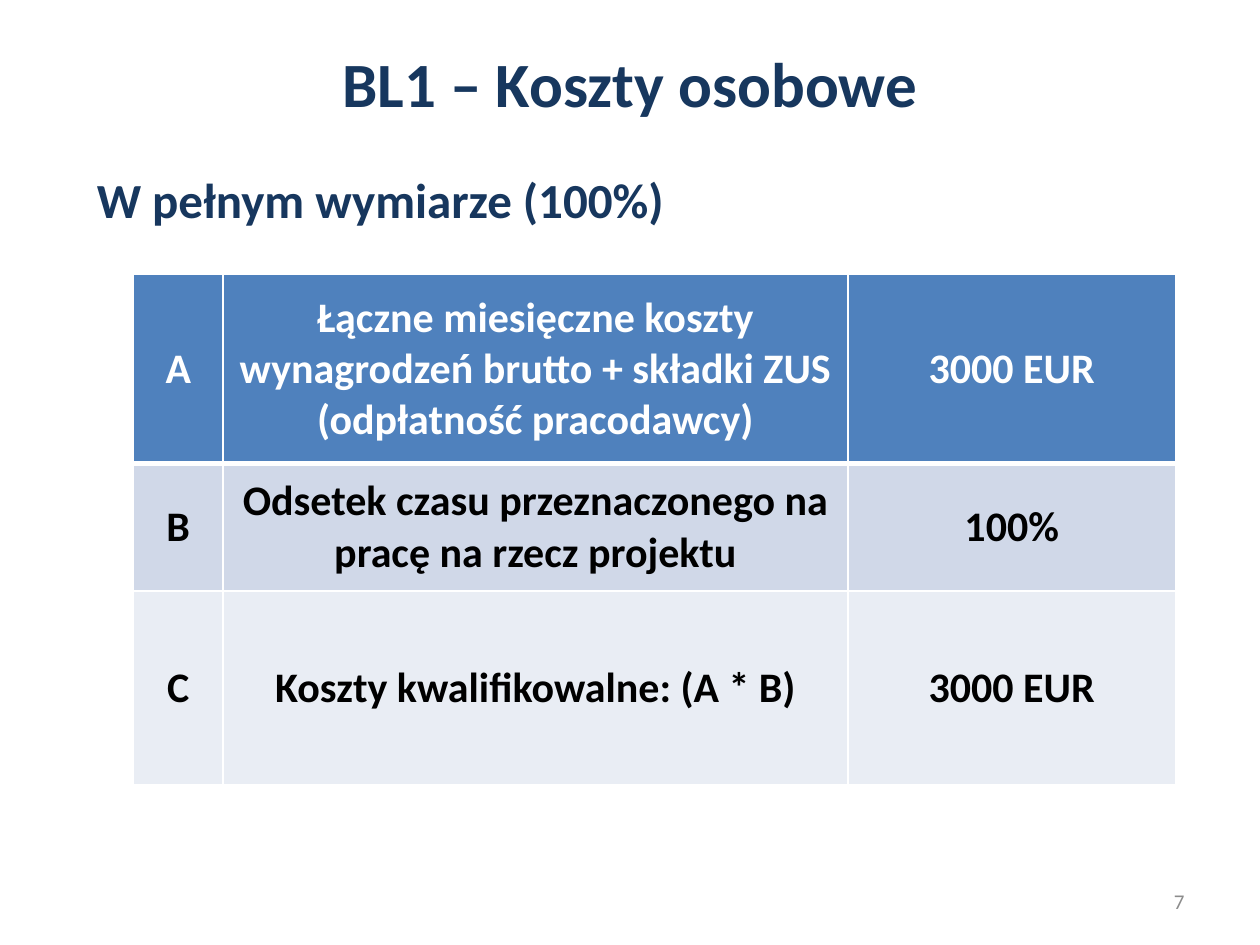
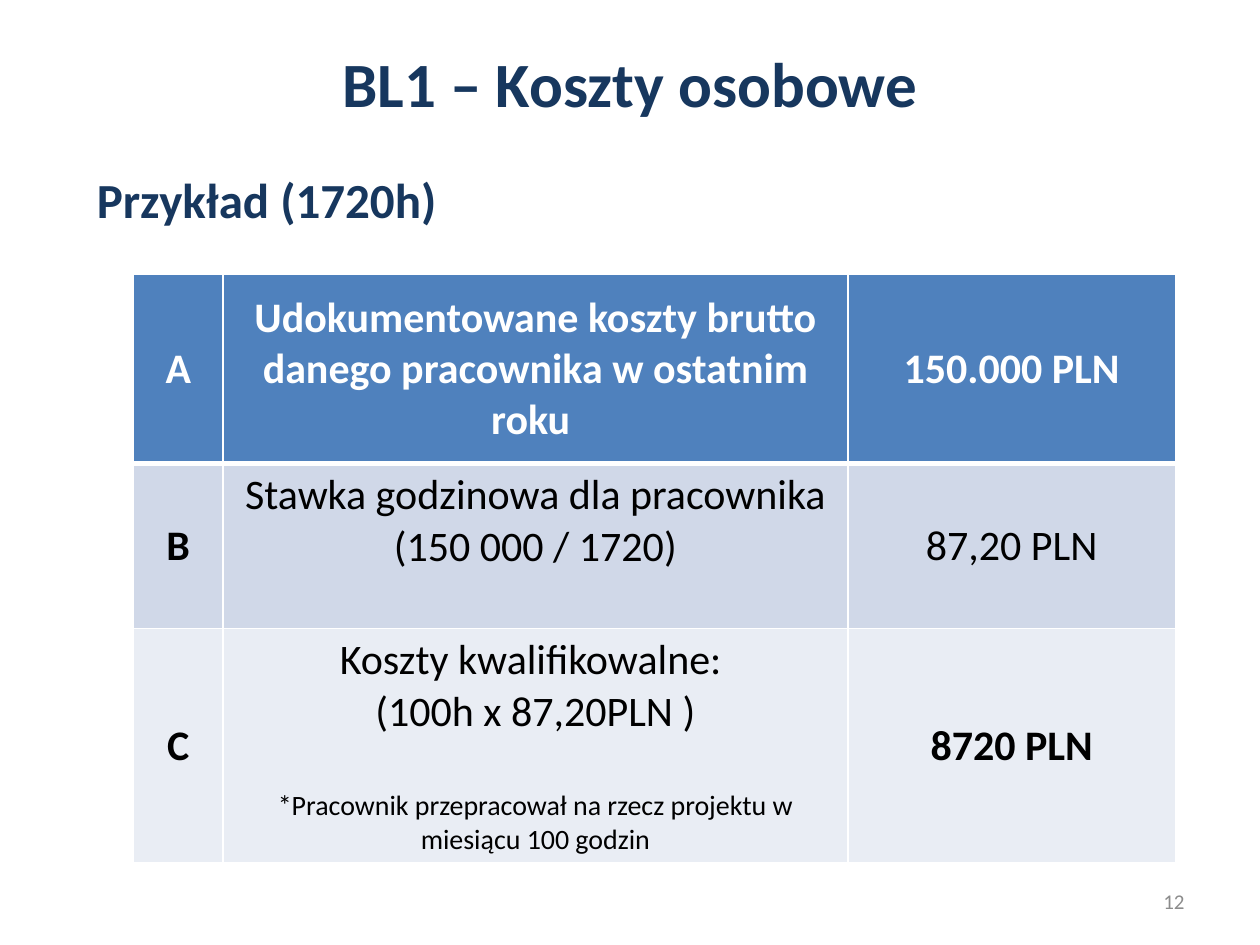
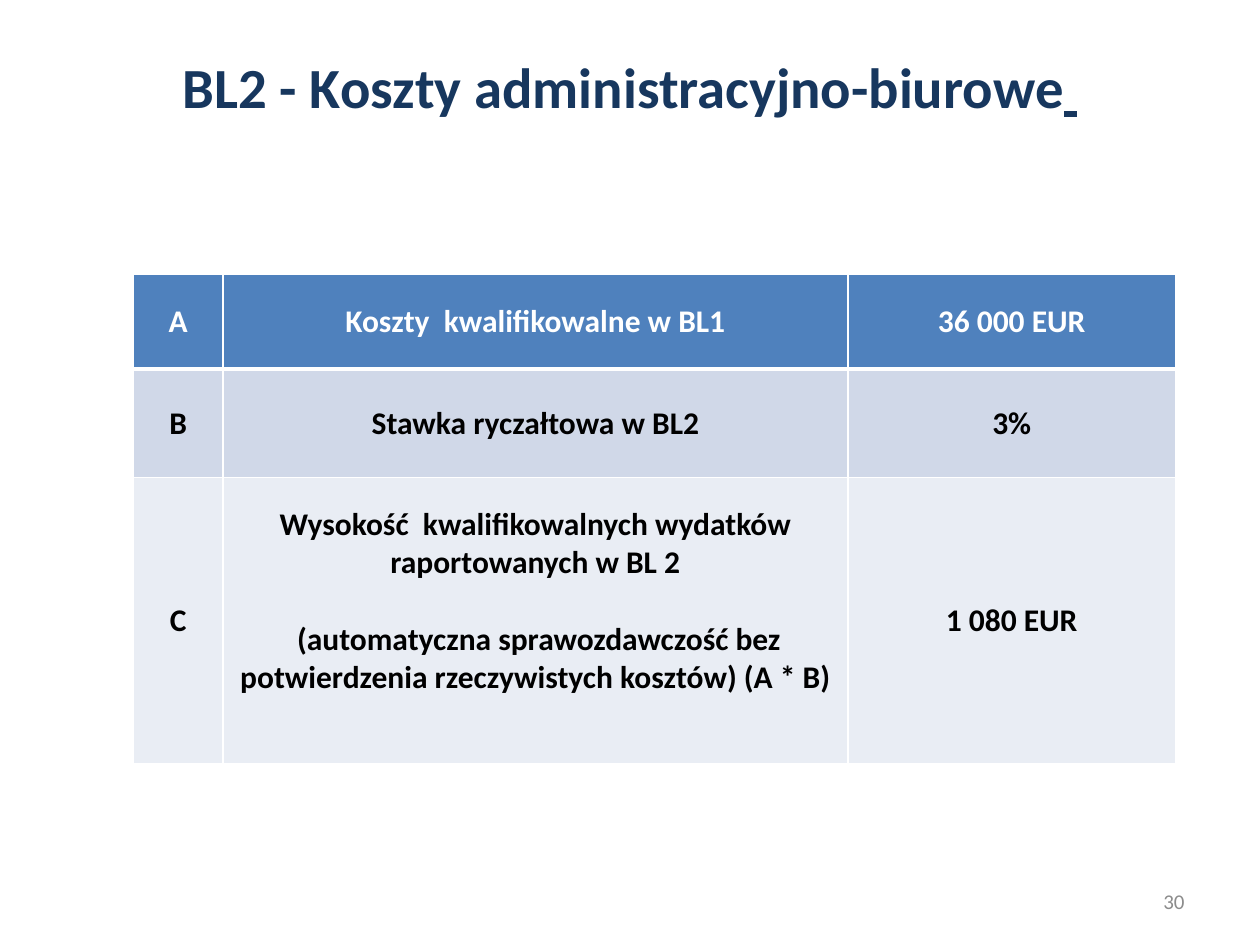
from dataclasses import dataclass

from lxml import etree
from pptx import Presentation
from pptx.dml.color import RGBColor
from pptx.enum.text import MSO_ANCHOR, PP_ALIGN
from pptx.oxml.ns import qn
from pptx.util import Inches, Pt

LEFT_JUSTIFIED, CENTER, RIGHT = PP_ALIGN.JUSTIFY, PP_ALIGN.CENTER, PP_ALIGN.RIGHT
TOP, MIDDLE = MSO_ANCHOR.TOP, MSO_ANCHOR.MIDDLE

NAVY = RGBColor(0x17, 0x37, 0x5E)
BLUE = RGBColor(0x4F, 0x81, 0xBD)
BAND_DARK = RGBColor(0xD0, 0xD8, 0xE8)
BAND_LIGHT = RGBColor(0xE9, 0xED, 0xF4)
WHITE = RGBColor(0xFF, 0xFF, 0xFF)
BLACK = RGBColor(0, 0, 0)
GRAY = RGBColor(0x8C, 0x8C, 0x8C)

FONT = "Calibri"
LINE_HEIGHT = 1.22
CELL_MARGIN = 0.05
TABLE_LEFT, TABLE_TOP = 1.06, 2.18
COLUMN_WIDTHS = (0.71, 4.96, 2.6)
ROW_FILLS = (BLUE, BAND_DARK, BAND_LIGHT)
ROW_COLORS = (WHITE, BLACK, BLACK)


@dataclass
class Entry:
    """Table text: paragraphs, an optional footnote, and free lines kept below."""
    paragraphs: tuple
    bold: bool = True
    footnote: str = ""
    lines_below: int = 0


def set_format(target, values):
    for name, value in values.items():
        setattr(target, name, value)


def style_runs(paragraph, size, color, bold=False):
    for run in paragraph.runs:
        set_format(run.font, {"name": FONT, "size": Pt(size), "bold": bold})
        run.font.color.rgb = color


def add_text(slide, box, text, size, color, bold=False, anchor=TOP, **layout):
    frame = slide.shapes.add_textbox(*map(Inches, box)).text_frame
    set_format(frame, {"word_wrap": True, "vertical_anchor": anchor})
    paragraph = frame.paragraphs[0]
    paragraph.text = text
    set_format(paragraph, layout)
    style_runs(paragraph, size, color, bold)
    return frame


def add_title(slide, text, size=36):
    return add_text(slide, (0.5, 0.3, 9, 1.25), text, size, NAVY, bold=True,
                    alignment=CENTER)


def add_subtitle(slide, text):
    add_text(slide, (0.67, 1.39, 8.83, 0.7), text, 28, NAVY, bold=True,
             alignment=LEFT_JUSTIFIED, line_spacing=0.8, space_before=Pt(12))


def add_page_number(slide, number):
    add_text(slide, (7.17, 6.95, 2.33, 0.4), str(number), 12, GRAY,
             anchor=MIDDLE, alignment=RIGHT)


def set_borders(cell, widths):
    properties = cell._tc.get_or_add_tcPr()
    for position, (side, width) in enumerate(widths.items()):
        line = etree.Element(qn(f"a:ln{side}"), w=str(Pt(width)))
        fill = etree.SubElement(line, qn("a:solidFill"))
        etree.SubElement(fill, qn("a:srgbClr"), val=str(WHITE))
        properties.insert(position, line)


def fill_cell(cell, entry, size, color):
    frame = cell.text_frame
    texts = entry.paragraphs + ((entry.footnote,) if entry.footnote else ())
    for index, text in enumerate(texts):
        paragraph = frame.paragraphs[0] if index == 0 else frame.add_paragraph()
        paragraph.text = text
        paragraph.alignment = CENTER
        if index > 0:
            paragraph.space_before = Pt(size * LINE_HEIGHT)
        text_size = 16 if text == entry.footnote else size
        style_runs(paragraph, text_size, color, entry.bold)
    free_space = entry.lines_below * size * LINE_HEIGHT / 72
    set_format(cell, {"vertical_anchor": MIDDLE,
                      "margin_bottom": Inches(CELL_MARGIN + free_space)})


def add_cost_table(slide, rows, heights, size):
    """Rows hold a description and an amount; letters A, B, C label them."""
    table = slide.shapes.add_table(
        len(rows), len(COLUMN_WIDTHS), Inches(TABLE_LEFT), Inches(TABLE_TOP),
        Inches(sum(COLUMN_WIDTHS)), Inches(sum(heights))).table
    for column, width in zip(table.columns, COLUMN_WIDTHS):
        column.width = Inches(width)
    for r, (entries, height) in enumerate(zip(rows, heights)):
        table.rows[r].height = Inches(height)
        for c, entry in enumerate((Entry(("ABC"[r],)), *entries)):
            cell = table.cell(r, c)
            cell.fill.solid()
            cell.fill.fore_color.rgb = ROW_FILLS[r]
            set_borders(cell, {"L": 1, "R": 1, "T": 3 if r == 1 else 1,
                               "B": 3 if r == 0 else 1})
            fill_cell(cell, entry, size, ROW_COLORS[r])


def add_slide(prs, page):
    slide = prs.slides.add_slide(prs.slide_layouts[6])
    add_page_number(slide, page)
    return slide


def add_full_time_slide(prs):
    slide = add_slide(prs, 7)
    add_title(slide, "BL1 – Koszty osobowe")
    add_subtitle(slide, "W pełnym wymiarze (100%)")
    add_cost_table(slide, (
        (Entry(("Łączne miesięczne koszty wynagrodzeń brutto + składki ZUS "
                "(odpłatność pracodawcy)",)), Entry(("3000 EUR",))),
        (Entry(("Odsetek czasu przeznaczonego na pracę na rzecz projektu",)),
         Entry(("100%",))),
        (Entry(("Koszty kwalifikowalne: (A * B)",)), Entry(("3000 EUR",))),
    ), (1.5, 1.01, 1.54), 24)


def add_hourly_slide(prs):
    slide = add_slide(prs, 12)
    add_title(slide, "BL1 – Koszty osobowe")
    add_subtitle(slide, "Przykład (1720h)")
    add_cost_table(slide, (
        (Entry(("Udokumentowane koszty brutto danego pracownika "
                "w ostatnim roku ",)), Entry(("150.000 PLN",))),
        (Entry(("Stawka godzinowa dla pracownika (150 000 / 1720)",),
               bold=False, lines_below=1),
         Entry(("87,20 PLN",), bold=False)),
        (Entry(("Koszty kwalifikowalne: \v(100h x 87,20PLN )",), bold=False,
               footnote="*Pracownik przepracował na rzecz projektu "
                        "w miesiącu 100 godzin"),
         Entry(("8720 PLN",))),
    ), (1.5, 1.31, 1.86), 24)


def add_office_slide(prs):
    slide = add_slide(prs, 30)
    title = add_title(slide, "BL2 - Koszty administracyjno-biurowe", 32.4)
    title.margin_top = Inches(0.11)
    paragraph = title.paragraphs[0]
    underlined = paragraph.add_run()
    underlined.text = " "
    style_runs(paragraph, 32.4, NAVY, bold=True)
    underlined.font.underline = True
    add_cost_table(slide, (
        (Entry(("Koszty  kwalifikowalne w BL1",)), Entry(("36 000 EUR",))),
        (Entry(("Stawka ryczałtowa w BL2",)), Entry(("3%",))),
        (Entry(("Wysokość  kwalifikowalnych wydatków raportowanych w BL 2",
                " (automatyczna sprawozdawczość bez potwierdzenia "
                "rzeczywistych kosztów) (A * B)"), lines_below=1),
         Entry(("1 080 EUR",))),
    ), (0.75, 0.86, 2.27), 18)


def main():
    prs = Presentation()
    prs.slide_width, prs.slide_height = Inches(10), Inches(7.5)
    add_full_time_slide(prs)
    add_hourly_slide(prs)
    add_office_slide(prs)
    prs.save("out.pptx")


if __name__ == "__main__":
    main()
